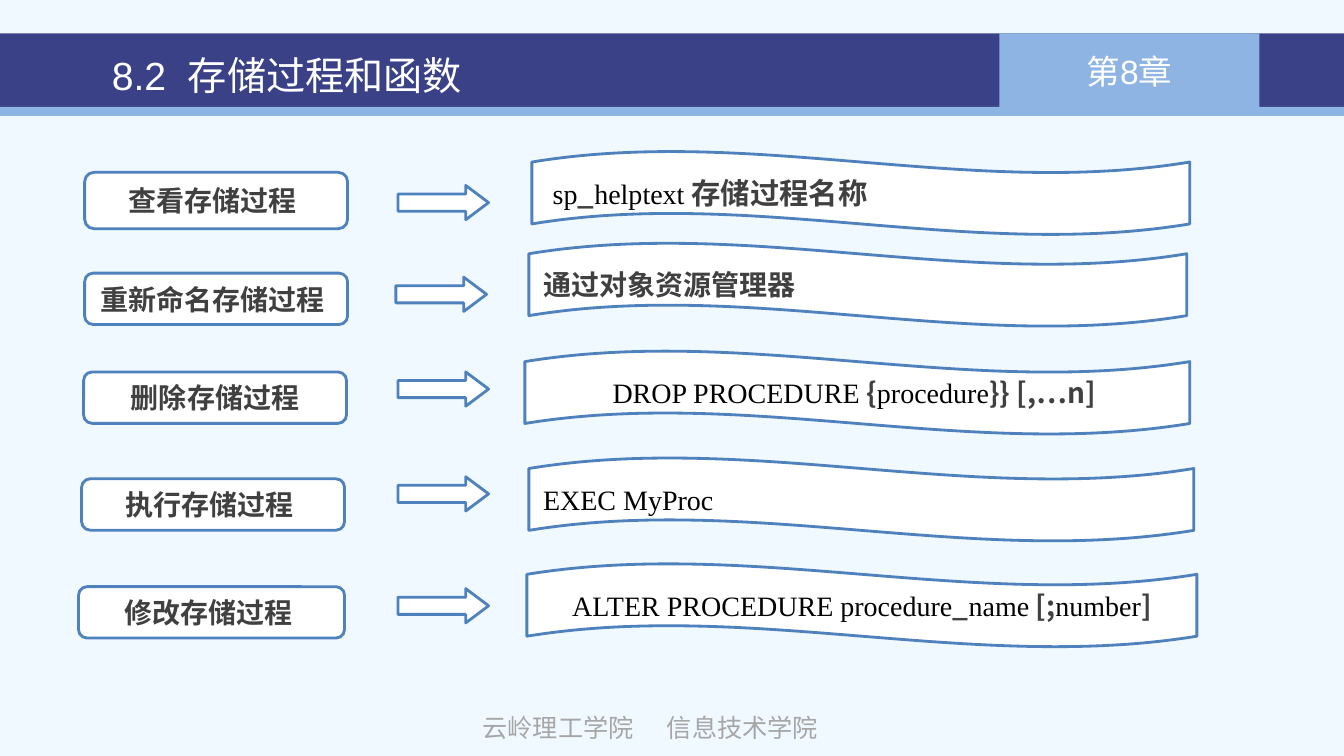
from pptx import Presentation
from pptx.dml.color import RGBColor
from pptx.enum.shapes import MSO_SHAPE
from pptx.enum.text import MSO_ANCHOR, PP_ALIGN
from pptx.oxml.ns import qn
from pptx.util import Inches, Pt

RECT, ARROW = MSO_SHAPE.RECTANGLE, MSO_SHAPE.RIGHT_ARROW
LABEL, WAVE = MSO_SHAPE.FLOWCHART_ALTERNATE_PROCESS, MSO_SHAPE.WAVE
LEFT, CENTER = PP_ALIGN.LEFT, PP_ALIGN.CENTER
MIDDLE, TOP = MSO_ANCHOR.MIDDLE, MSO_ANCHOR.TOP

PALE = RGBColor(0xEF, 0xF9, 0xFF)
NAVY = RGBColor(0x3A, 0x41, 0x87)
SKY = RGBColor(0x8E, 0xB4, 0xE3)
BLUE = RGBColor(0x4F, 0x81, 0xBD)
WHITE = RGBColor(0xFF, 0xFF, 0xFF)
BLACK = RGBColor(0, 0, 0)
DARK = RGBColor(0x40, 0x40, 0x40)
GRAY = RGBColor(0xA6, 0xA6, 0xA6)

SANS, SERIF, CJK = "Arial", "Times New Roman", "Noto Sans CJK SC"

# Run styles: font, points, colour, bold
STYLES = {
    "title": (SANS, 28, WHITE, False),
    "chapter": (SANS, 24, WHITE, False),
    "footer": (SANS, 18, GRAY, False),
    "code": (SERIF, 20, BLACK, False),
    "strong": (CJK, 20, DARK, True),
    "large": (CJK, 21, DARK, True),
}

TITLE = "8.2  存储过程和函数"
CHAPTER = "第8章"
FOOTERS = [("云岭理工学院", 5.54), ("信息技术学院", 7.37)]  # text, centre

# Each step: label, its place; arrow left and top; wave place, alignment, runs
STEPS = [
    ("查看存储过程 ", (0.84, 1.71, 2.61, 0.56), (3.95, 1.84),
     (5.28, 1.5, 6.53), LEFT,
     [("large", " "), ("code", "sp"), ("large", "_"), ("code", "helptext"),
      ("large", " 存储过程名称 ")]),
    ("重新命名存储过程 ", (0.84, 2.71, 2.61, 0.51), (3.93, 2.75),
     (5.25, 2.41, 6.53), LEFT, [("strong", "通过对象资源管理器")]),
    (" 删除存储过程 ", (0.83, 3.69, 2.61, 0.51), (3.95, 3.69),
     (5.21, 3.48, 6.6), CENTER,
     [("code", "DROP PROCEDURE"), ("strong", " {"), ("code", "procedure"),
      ("strong", "}} [,…n] ")]),
    ("执行存储过程 ", (0.81, 4.75, 2.61, 0.51), (3.95, 4.73),
     (5.25, 4.54, 6.6), LEFT, [("code", "EXEC MyProc ")]),
    ("修改存储过程 ", (0.78, 5.82, 2.64, 0.51), (3.95, 5.84),
     (5.23, 5.59, 6.65), CENTER,
     [("code", "ALTER PROCEDURE procedure"), ("strong", "_"),
      ("code", "name"), ("strong", " [;"), ("code", "number"),
      ("strong", "]")]),
]
WAVE_HEIGHT = 0.83
ARROW_SIZE = (0.9, 0.34)


def write(box, runs, align, anchor=MIDDLE, insets=(0.14, 0.07), wrap=False):
    """Fill a box with one paragraph of styled runs."""
    frame = box.text_frame
    across, down = map(Inches, insets)
    settings = {"margin_left": across, "margin_right": across,
                "margin_top": down, "margin_bottom": down,
                "word_wrap": wrap, "vertical_anchor": anchor}
    for name, value in settings.items():
        setattr(frame, name, value)
    para = frame.paragraphs[0]
    para.alignment = align
    for style, text in runs:
        span = para.add_run()
        span.text = text
        face, points, color, bold = STYLES[style]
        for name, value in {"name": face, "size": Pt(points),
                            "bold": bold}.items():
            setattr(span.font, name, value)
        span.font.color.rgb = color
        east_asian = span.font._element.makeelement(
            qn("a:ea"), {"typeface": CJK})
        span.font._element.append(east_asian)


def add_shape(page, kind, place, fill, line=None, adjustments=()):
    """Add a flat preset shape, outlined when a line colour is given."""
    shape = page.shapes.add_shape(kind, *map(Inches, place))
    shape.shadow.inherit = False
    shape.fill.solid()
    shape.fill.fore_color.rgb = fill
    if line is None:
        shape.line.fill.background()
    else:
        shape.line.color.rgb = line
        shape.line.width = Pt(2)
    for index, value in enumerate(adjustments):
        shape.adjustments[index] = value
    return shape


def add_header(page):
    """Draw the title band, chapter tab and stripe."""
    add_shape(page, RECT, (0, 0.33, 13.34, 0.75), NAVY)
    tab = add_shape(page, RECT, (9.92, 0.33, 2.58, 0.75), SKY)
    write(tab, [("chapter", CHAPTER)], CENTER, insets=(0.1, 0.05), wrap=True)
    add_shape(page, RECT, (0, 1.06, 13.34, 0.09), SKY)
    title = add_shape(page, RECT, (0.99, 0.45, 7.45, 0.58), NAVY)
    write(title, [("title", TITLE)], LEFT, insets=(0.12, 0.06), wrap=True)


def add_step(page, label, label_place, arrow_at, wave_place, align, runs):
    """Draw one label, its arrow and the wave with the statement."""
    box = add_shape(page, LABEL, label_place, WHITE, BLUE)
    write(box, [("strong", label)], CENTER)
    add_shape(page, ARROW, arrow_at + ARROW_SIZE, WHITE, BLUE, (0.5, 0.667))
    wave = add_shape(page, WAVE, wave_place + (WAVE_HEIGHT,), WHITE, BLUE,
                     (0.13, 0))
    write(wave, runs, align)


def add_footer(page, text, center, width=1.8):
    """Write one footer name around its centre."""
    box = page.shapes.add_textbox(
        *map(Inches, (center - width / 2, 7, width, 0.44)))
    write(box, [("footer", text)], CENTER, TOP, (0.13, 0.07), True)


deck = Presentation()
deck.slide_width, deck.slide_height = Inches(13.34), Inches(7.5)
page = deck.slides.add_slide(deck.slide_layouts[6])
page.background.fill.solid()
page.background.fill.fore_color.rgb = PALE
add_header(page)
for step in STEPS:
    add_step(page, *step)
for footer in FOOTERS:
    add_footer(page, *footer)
deck.save("out.pptx")
